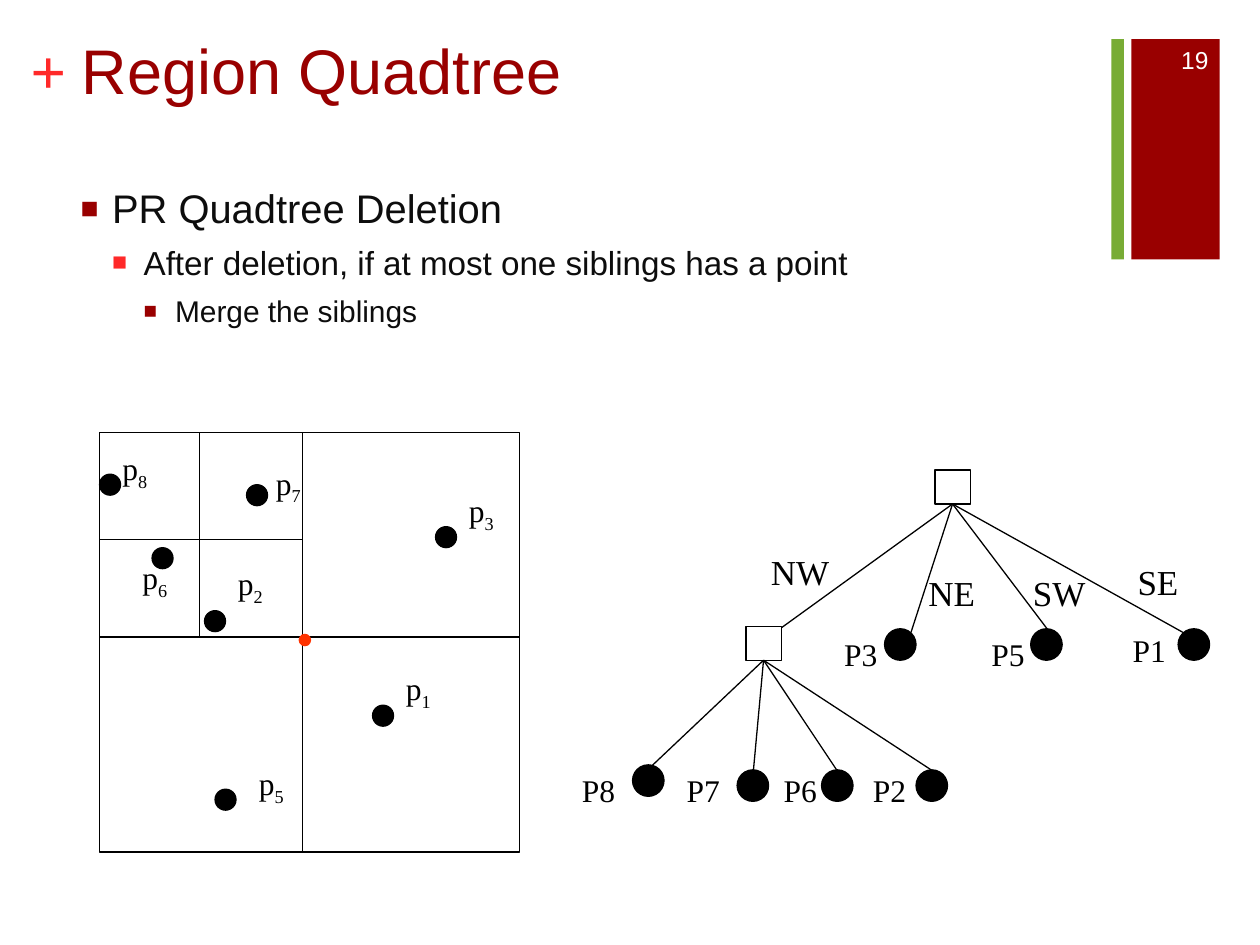
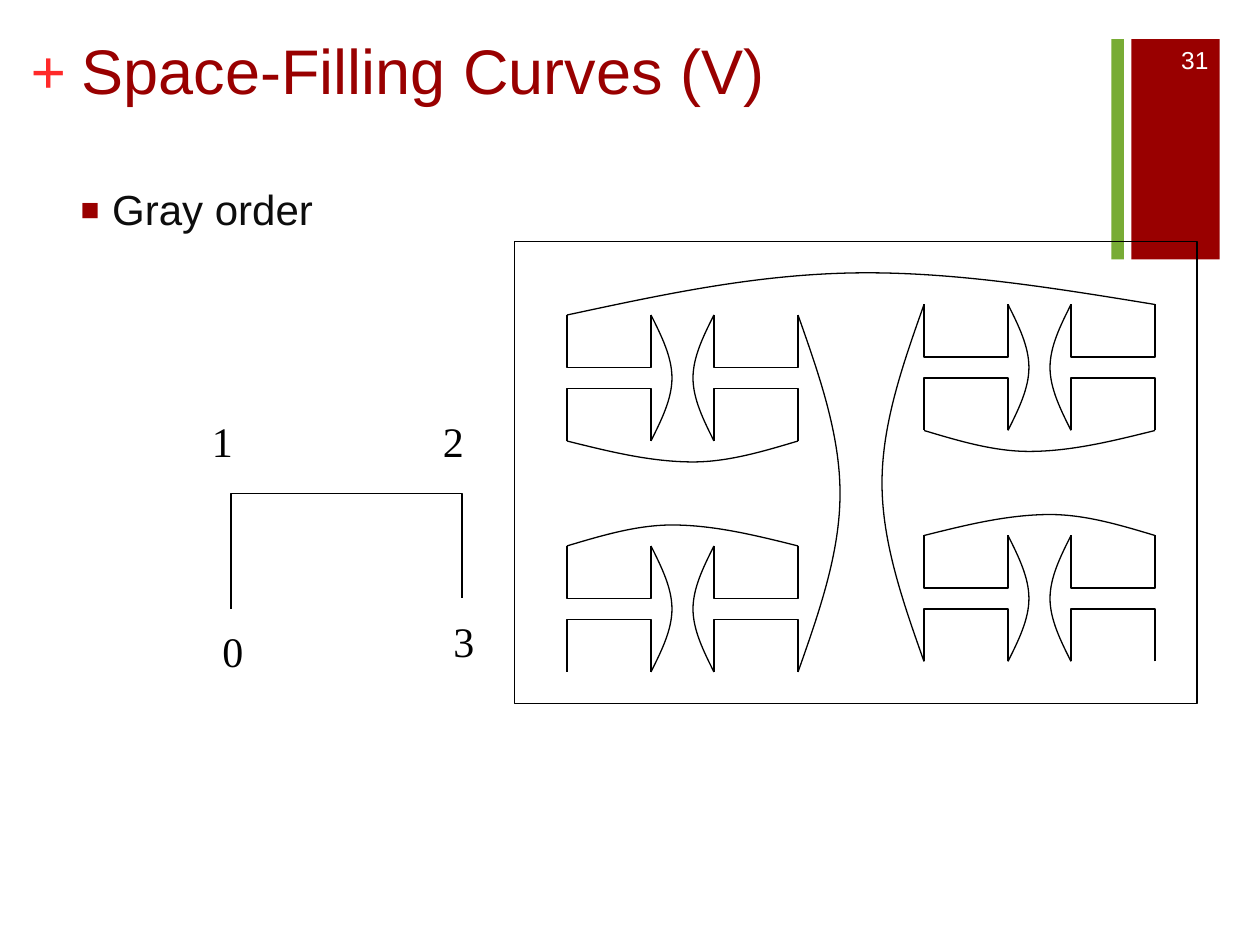
from lxml.etree import SubElement
from pptx import Presentation
from pptx.dml.color import RGBColor
from pptx.enum.shapes import MSO_CONNECTOR, MSO_SHAPE
from pptx.enum.text import MSO_ANCHOR, MSO_AUTO_SIZE, PP_ALIGN
from pptx.oxml.ns import qn
from pptx.util import Inches, Pt

COLORS = {"crimson": "990000", "red": "FF2929", "green": "78AC35", "body": "0D0D0D",
          "black": "000000", "white": "FFFFFF", "center": "FF3300"}
SANS, SERIF = "Arial", "Times New Roman"
UNIT = 1 / 12  # drawing grid, inches
BOTTOM = 2     # connection site of a rectangle

# ---- Region quadtree: grid units from the corner of the square ----
DELETION_RULES = [("PR Quadtree Deletion", 22.8),
                  ("After deletion, if at most one siblings has a point", 19),
                  ("Merge the siblings", 17.1)]
REGION = (0.79, 3.43)
REGION_SIDE = 40
SPLITS = [((0, 19.5), (40, 19.5)), ((19.3, 0), (19.3, 40)),
          ((0, 10.2), (19.3, 10.2)), ((9.5, 0.1), (9.5, 19.5))]
# number: (dot corner, label corner)
POINTS = {1: ((26, 26), (28, 22)), 2: ((10, 17), (12, 12)), 3: ((32, 9), (34, 5)),
          5: ((11, 34), (14, 31)), 6: ((5, 11), (2.9, 11.4)),
          7: ((14, 5), (15.6, 2.4)), 8: ((0, 4), (1, 1))}

# Tree nodes in inches: corner, end of the line from the parent, label, edge name, children
TREE = {"at": (7.42, 3.73), "children": [
    {"at": (5.92, 4.97), "end": (6.15, 5.02), "edge": ("NW", 6.02, 4.32), "children": [
        {"at": (5.02, 6.07), "end": (5.14, 6.11), "label": ("P8", 4.52, 6.07)},
        {"at": (5.85, 6.11), "end": (5.98, 6.11), "label": ("P7", 5.35, 6.07)},
        {"at": (6.52, 6.11), "end": (6.64, 6.11), "label": ("P6", 6.12, 6.07)},
        {"at": (7.27, 6.11), "end": (7.39, 6.11), "label": ("P2", 6.83, 6.07)}]},
    {"at": (7.02, 4.99), "end": (7.23, 5.02), "label": ("P3", 6.6, 4.99),
     "edge": ("NE", 7.27, 4.49)},
    {"at": (8.18, 4.99), "end": (8.31, 4.99), "label": ("P5", 7.77, 4.99),
     "edge": ("SW", 8.1, 4.49)},
    {"at": (9.35, 4.99), "end": (9.39, 5.02), "label": ("P1", 8.89, 4.96),
     "edge": ("SE", 8.93, 4.4)}]}

# ---- Gray order: grid units from the corner of the slide ----
GRAY_RULES = [("Gray order", 24)]
BASE_CURVE = [(22, 58), (22, 47), (44, 47), (44, 57)]
BASE_LABELS = {"0": (20, 59), "3": (42, 58), "2": (41, 39), "1": (19, 39)}
CURVE_FRAME = (49, 23, 65, 44)
HALVES = [(54, 1, 0), (110, -1, -1)]  # outer edge, direction inward, vertical shift
BLOCKS = [(52, -2, 10), (30, 14, 12)]  # top, cap height from top, cap peak from outer edge
BLOCK_HEIGHT, HALF_WIDTH, CUP_DEPTH = 12, 22, 5
CUPS = [(0, 8), (14, 22)]
TOP_ARC = [(54, 30), (62.9, 28.1), (71.6, 26.2), (81, 26),
           (90.4, 25.8), (100.2, 27.4), (110, 29)]


def rgb(name):
    return RGBColor.from_string(COLORS[name])


def add_text(slide, text, left, top, width, height, size, font=SERIF, color="black"):
    frame = slide.shapes.add_textbox(*map(Inches, (left, top, width, height))).text_frame
    frame.word_wrap = True
    paragraph = frame.paragraphs[0]
    paragraph.add_run().text = text
    set_font(paragraph, size, font, color)
    return frame


def set_font(paragraph, size, font, color):
    paragraph.font.size, paragraph.font.name = Pt(size), font
    paragraph.font.color.rgb = rgb(color)


def style(shape, fill=None, line="black"):
    shape.shadow.inherit = False
    if fill:
        shape.fill.solid()
        shape.fill.fore_color.rgb = rgb(fill)
    else:
        shape.fill.background()
    if line:
        shape.line.color.rgb = rgb(line)
        shape.line.width = Pt(0.75)
    else:
        shape.line.fill.background()
    return shape


def add_box(slide, kind, left, top, width, height, fill=None, line="black"):
    box = slide.shapes.add_shape(kind, *map(Inches, (left, top, width, height)))
    return style(box, fill, line)


def add_line(slide, start, end):
    line = slide.shapes.add_connector(MSO_CONNECTOR.STRAIGHT, *map(Inches, (*start, *end)))
    line.line.color.rgb = rgb("black")
    line.line.width = Pt(0.75)
    SubElement(line._element.spPr, qn("a:effectLst"))
    return line


def add_outline(slide, points):
    """Draw an open outline through points given in grid units."""
    points = [(Inches(x * UNIT), Inches(y * UNIT)) for x, y in points]
    builder = slide.shapes.build_freeform(*points[0])
    builder.add_line_segments(points[1:], close=False)
    return style(builder.convert_to_shape())


def add_curve(slide, points):
    """Draw cubic curves: a start, then two control points and an end for each."""
    outline = add_outline(slide, points)._element.find(".//" + qn("a:path"))
    corners = outline.findall(qn("a:lnTo"))
    for first in range(0, len(corners), 3):
        cubic = SubElement(outline, qn("a:cubicBezTo"))
        for corner in corners[first:first + 3]:
            cubic.append(corner[0])
            outline.remove(corner)


def add_bulge(slide, start, peak, end, upright=False):
    """Draw two curves that are steep at the ends and flat where they meet."""
    def controls(foot):
        for rise, along in ((1 / 2, 1 / 3), (1, 2 / 3)):
            shares = (rise, along) if upright else (along, rise)
            yield tuple(f + (p - f) * s for f, p, s in zip(foot, peak, shares))
    add_curve(slide, [start, *controls(start), peak, *reversed(list(controls(end))), end])


def add_bullets(body, rules):
    frame = body.text_frame
    frame.auto_size = MSO_AUTO_SIZE.NONE
    for level, (text, size) in enumerate(rules):
        paragraph = frame.paragraphs[0] if level == 0 else frame.add_paragraph()
        paragraph.text, paragraph.level = text, level
        paragraph.space_before = Pt(6 if level else 20)
        set_font(paragraph, size, SANS, "body")
        props = paragraph._p.get_or_add_pPr()
        props.set("marL", str(Inches(0.25 * (level + 1))))
        props.set("indent", str(-Inches(0.25)))
        bullet = [("buClr", {}), ("buSzPct", {"val": "75000"}),
                  ("buFont", {"typeface": SANS}), ("buChar", {"char": "■"})]
        # bullets go before the default run properties
        place = list(props).index(props.find(qn("a:defRPr")))
        for offset, (tag, attributes) in enumerate(bullet):
            part = SubElement(props, qn("a:" + tag), attributes)
            props.insert(place + offset, part)
            if tag == "buClr":
                SubElement(part, qn("a:srgbClr"), val=COLORS["red" if level == 1 else "crimson"])


def move(shape, left, top, width, height):
    shape.left, shape.top, shape.width, shape.height = map(Inches, (left, top, width, height))


def add_page(deck, title, number, rules, body_height):
    slide = deck.slides.add_slide(deck.slide_layouts[1])
    add_box(slide, MSO_SHAPE.RECTANGLE, 8.98, 0.31, 0.7, 1.75, "crimson", None)
    add_box(slide, MSO_SHAPE.RECTANGLE, 8.82, 0.31, 0.1, 1.75, "green", None)
    plus = add_text(slide, "+", 0.24, 0.25, 0.29, 0.64, 36, color="red")
    plus.margin_left = plus.margin_right = plus.margin_top = plus.margin_bottom = 0
    plus.paragraphs[0].font.bold = True

    heading = slide.shapes.title
    move(heading, 0.55, 0.2, 8.26, 1.22)
    frame = heading.text_frame
    frame.text = title
    frame.vertical_anchor, frame.auto_size = MSO_ANCHOR.TOP, MSO_AUTO_SIZE.NONE
    frame.paragraphs[0].alignment = PP_ALIGN.LEFT
    set_font(frame.paragraphs[0], 36, SANS, "crimson")

    body = slide.placeholders[1]
    move(body, 0.54, 1.41, 8.26, body_height)
    add_bullets(body, rules)

    page = add_text(slide, str(number), 9.08, 0.27, 0.61, 0.4, 14, SANS, "white")
    page.vertical_anchor = MSO_ANCHOR.MIDDLE
    page.paragraphs[0].alignment = PP_ALIGN.RIGHT
    return slide


def add_region(slide):
    def place(point):
        return tuple(origin + share * UNIT for origin, share in zip(REGION, point))

    side, dot = REGION_SIDE * UNIT, 2 * UNIT
    add_box(slide, MSO_SHAPE.RECTANGLE, *REGION, side, side)
    for start, end in SPLITS:
        add_line(slide, place(start), place(end))
    for number, (corner, label) in POINTS.items():
        add_box(slide, MSO_SHAPE.OVAL, *place(corner), dot, dot, "black")
        paragraph = add_text(slide, "p", *place(label), 0.42, 0.4, 18).paragraphs[0]
        index = paragraph.add_run()
        index.text = str(number)
        index._r.get_or_add_rPr().set("baseline", "-25000")
    add_box(slide, MSO_SHAPE.OVAL, 2.37, 5.03, 0.1, 0.1, "center", None)


def add_node(slide, node, parent=None):
    if parent is not None:
        line = add_line(slide, node["end"], node["end"])
        line.begin_connect(parent, BOTTOM)
    if "children" in node:
        box = add_box(slide, MSO_SHAPE.RECTANGLE, *node["at"], 0.28, 0.27, "white")
        for child in node["children"]:
            add_node(slide, child, box)
    else:
        add_box(slide, MSO_SHAPE.OVAL, *node["at"], 0.25, 0.25, "black")
    if "label" in node:
        add_text(slide, *node["label"], 0.58, 0.4, 18)
    if "edge" in node:
        add_text(slide, *node["edge"], 0.77, 0.43, 20)


def add_gray_half(slide, edge, inward, shift):
    def place(x, y):
        return edge + inward * x, y + shift

    def bulge(*points, upright=False):
        add_bulge(slide, *(place(*point) for point in points), upright=upright)

    for top, cap, peak in BLOCKS:
        bottom, middle = top + BLOCK_HEIGHT, top + BLOCK_HEIGHT / 2
        for left, right in CUPS:
            for rim, floor in ((top, top + CUP_DEPTH), (bottom, bottom - CUP_DEPTH)):
                cup = [(left, rim), (left, floor), (right, floor), (right, rim)]
                add_outline(slide, [place(*point) for point in cup])
        for x, depth in ((8, 2), (14, -2)):
            bulge((x, bottom), (x + depth, middle), (x, top), upright=True)
        rim = top if cap < 0 else bottom
        bulge((0, rim), (peak, top + cap), (HALF_WIDTH, rim))
    low, high = BLOCKS[0][0] + BLOCK_HEIGHT, BLOCKS[1][0]
    bulge((HALF_WIDTH, low), (HALF_WIDTH + 4, (low + high) / 2), (HALF_WIDTH, high), upright=True)


def main():
    deck = Presentation()
    deck.slide_width, deck.slide_height = Inches(10), Inches(7.5)

    quadtree = add_page(deck, "Region Quadtree", 19, DELETION_RULES, 5.72)
    add_region(quadtree)
    add_node(quadtree, TREE)

    curves = add_page(deck, "Space-Filling Curves (V)", 31, GRAY_RULES, 5.42)
    for digit, (x, y) in BASE_LABELS.items():
        add_text(curves, digit, x * UNIT, y * UNIT, 0.5, 0.5, 24)
    add_outline(curves, BASE_CURVE)
    for half in HALVES:
        add_gray_half(curves, *half)
    add_curve(curves, TOP_ARC)
    add_box(curves, MSO_SHAPE.RECTANGLE, *(length * UNIT for length in CURVE_FRAME))

    deck.save("out.pptx")


if __name__ == "__main__":
    main()
